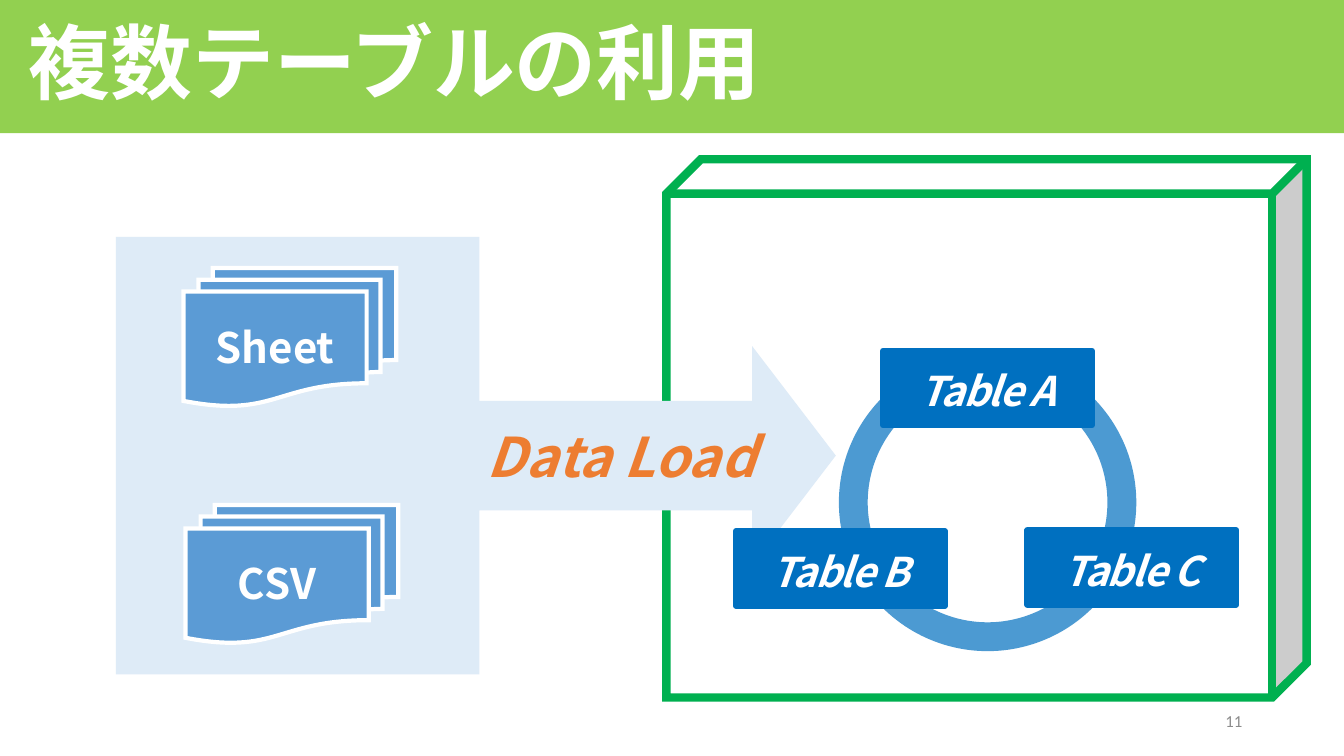
"""Build the slide on loading files into several related tables."""
from dataclasses import dataclass
from typing import Optional

from lxml.etree import SubElement
from pptx import Presentation
from pptx.dml.color import RGBColor
from pptx.enum.shapes import MSO_SHAPE
from pptx.enum.text import MSO_ANCHOR, MSO_AUTO_SIZE, PP_ALIGN
from pptx.oxml.ns import qn
from pptx.util import Inches, Pt

COLORS = {
    "white": "FFFFFF", "title": "92D050", "frame": "00B050", "flow": "DEEBF7",
    "file": "5B9BD5", "table": "0070C0", "load": "ED7D31", "number": "8C8C8C",
}
FONT = "Noto Sans CJK JP"
FILE_SIZE = (2.11, 1.37)
TABLE_SIZE = (2.07, 0.74)


@dataclass(frozen=True)
class TextStyle:
    size: float
    color: str = "white"
    font: str = FONT
    bold: bool = True
    italic: bool = False
    align: PP_ALIGN = PP_ALIGN.CENTER
    spacing: float = 1.0
    tracking: int = 0


@dataclass(frozen=True)
class Block:
    kind: MSO_SHAPE
    box: tuple[float, float, float, float]
    fill: str
    line: Optional[str] = None
    width: float = 0
    miter: bool = False
    adjust: tuple[float, ...] = ()
    alpha: int = 100
    text: str = ""
    style: Optional[TextStyle] = None


TITLE = TextStyle(58.5, align=PP_ALIGN.LEFT, spacing=0.9)
FILE = TextStyle(30)
TABLE = TextStyle(29.2, italic=True, spacing=1.1, tracking=-100)
LOAD = TextStyle(39, "load", italic=True, spacing=0.9)
NUMBER = TextStyle(12, "number", "Calibri", bold=False, align=PP_ALIGN.RIGHT)


def file_stack(text: str, x: float, y: float) -> Block:
    return Block(MSO_SHAPE.FLOWCHART_MULTIDOCUMENT, (x, y, *FILE_SIZE), "file",
                 "white", 3, miter=True, text=text, style=FILE)


def table_box(text: str, x: float, y: float) -> Block:
    return Block(MSO_SHAPE.RECTANGLE, (x, y, *TABLE_SIZE), "table",
                 "table", 4.5, text=text, style=TABLE)


BACK = [
    Block(MSO_SHAPE.CUBE, (6.61, 1.58, 6.35, 5.34), "white", "frame", 6,
          miter=True, adjust=(0.064,)),
    Block(MSO_SHAPE.RIGHT_ARROW_CALLOUT, (1.15, 2.35, 7.14, 4.34), "flow",
          adjust=(0.25, 0.25, 0.191, 0.505)),
    file_stack("Sheet", 1.82, 2.66),
    file_stack("CSV", 1.84, 5.01),
]
FRONT = [
    Block(MSO_SHAPE.DONUT, (8.32, 3.51, 2.95, 2.95), "table",
          adjust=(0.097,), alpha=70),
    table_box("Table A", 8.76, 3.48),
    table_box("Table B", 7.3, 5.27),
    table_box("Table C", 10.19, 5.26),
]


def rgb(name: str) -> RGBColor:
    return RGBColor.from_string(COLORS[name])


def write(sp, text: str, style: TextStyle) -> None:
    tf = sp.text_frame
    tf.text = text
    tf.word_wrap = True
    tf.auto_size = MSO_AUTO_SIZE.NONE
    tf.vertical_anchor = MSO_ANCHOR.MIDDLE
    p = tf.paragraphs[0]
    p.alignment = style.align
    p.line_spacing = style.spacing
    r = p.runs[0]
    r.font.size = Pt(style.size)
    r.font.bold = style.bold
    r.font.italic = style.italic
    r.font.color.rgb = rgb(style.color)
    r.font.name = style.font
    rpr = r.font._element
    SubElement(rpr, qn("a:ea")).set("typeface", style.font)
    if style.tracking:
        rpr.set("spc", str(style.tracking))


def draw_block(s, block: Block) -> None:
    sp = s.shapes.add_shape(block.kind, *map(Inches, block.box))
    sp.shadow.inherit = False
    for i, value in enumerate(block.adjust):
        sp.adjustments[i] = value
    sp.fill.solid()
    sp.fill.fore_color.rgb = rgb(block.fill)
    if block.alpha < 100:
        color = sp._element.spPr.find(f"{qn('a:solidFill')}/{qn('a:srgbClr')}")
        SubElement(color, qn("a:alpha")).set("val", str(block.alpha * 1000))
    if block.line:
        sp.line.color.rgb = rgb(block.line)
        sp.line.width = Pt(block.width)
        if block.miter:
            ln = sp._element.spPr.find(qn("a:ln"))
            SubElement(ln, qn("a:miter")).set("lim", "800000")
    else:
        sp.line.fill.background()
    if block.style:
        write(sp, block.text, block.style)


def draw_label(s, text: str, box: tuple[float, ...], style: TextStyle) -> None:
    write(s.shapes.add_textbox(*map(Inches, box)), text, style)


def draw_title(s, text: str) -> None:
    sp = s.shapes.title
    sp.left, sp.top, sp.width, sp.height = map(Inches, (0, 0, 13.33, 1.32))
    sp.fill.solid()
    sp.fill.fore_color.rgb = rgb("title")
    write(sp, text, TITLE)
    sp.text_frame.margin_left = Inches(0.28)


def main() -> None:
    prs = Presentation()
    prs.slide_width, prs.slide_height = Inches(13.33), Inches(7.5)
    s = prs.slides.add_slide(prs.slide_layouts[5])
    draw_title(s, "複数テーブルの利用")
    for block in BACK:
        draw_block(s, block)
    draw_label(s, "Data Load", (3.72, 4.11, 4.88, 0.9), LOAD)
    draw_label(s, "11", (9.42, 6.95, 3, 0.4), NUMBER)
    for block in FRONT:
        draw_block(s, block)
    prs.save("out.pptx")


if __name__ == "__main__":
    main()
